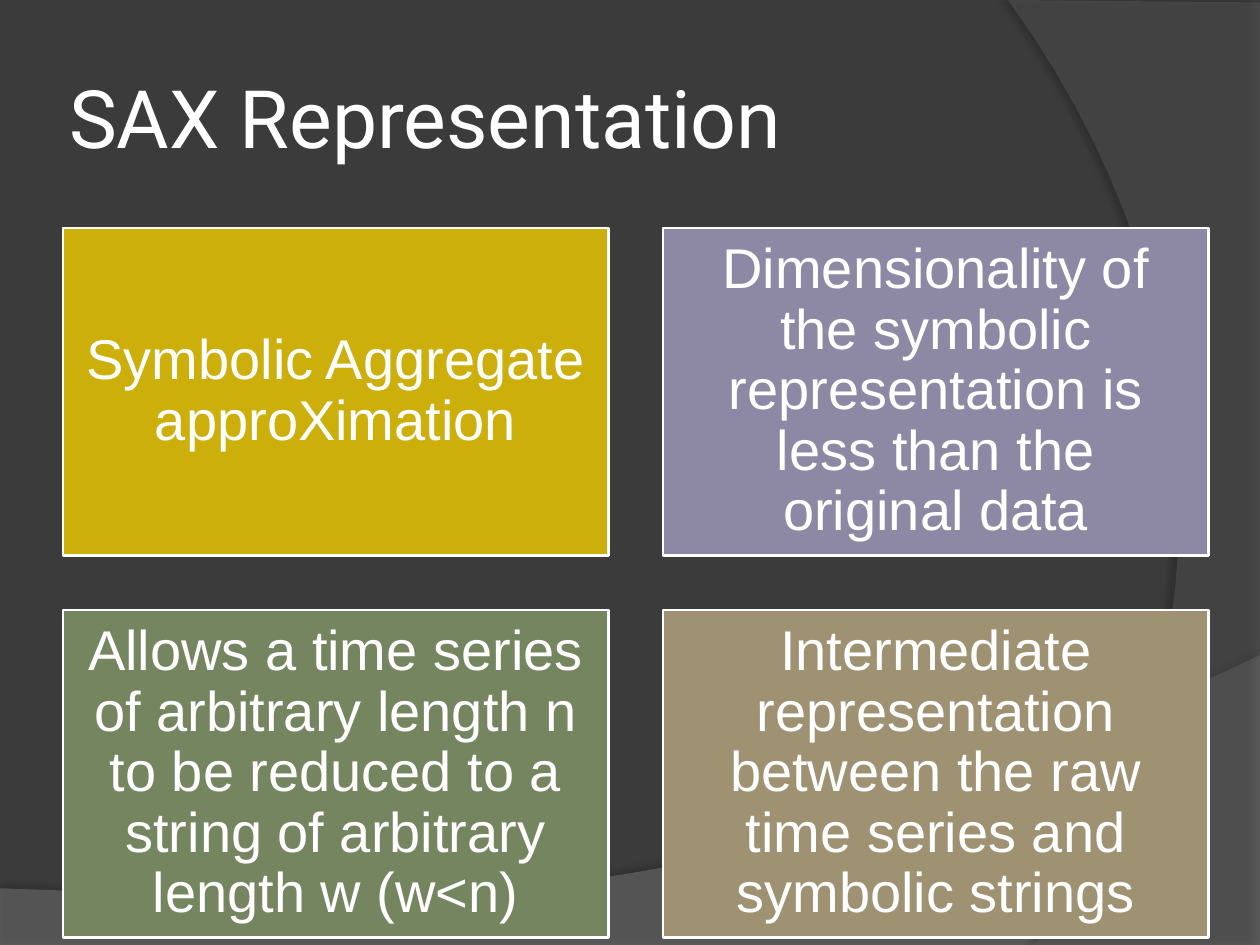
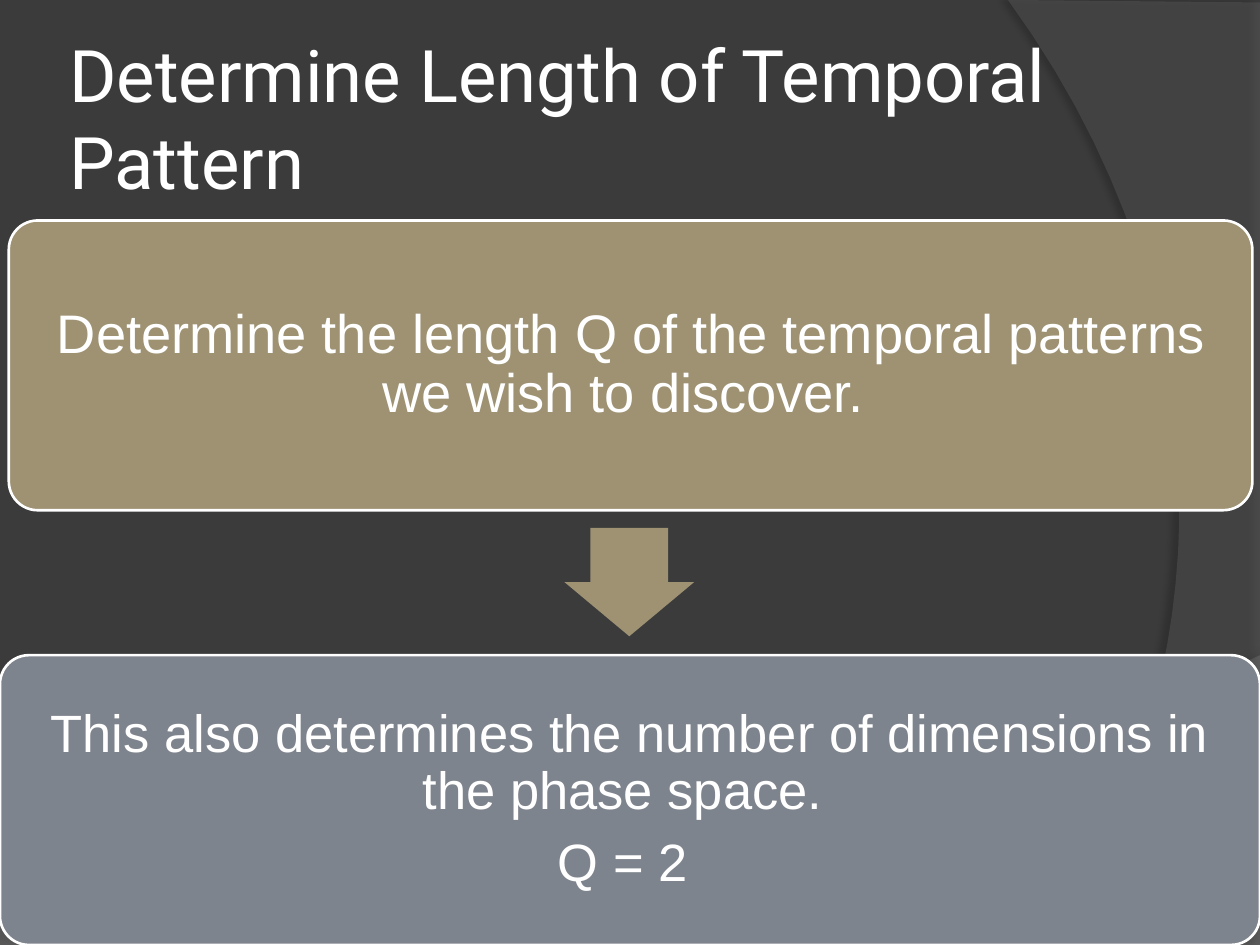
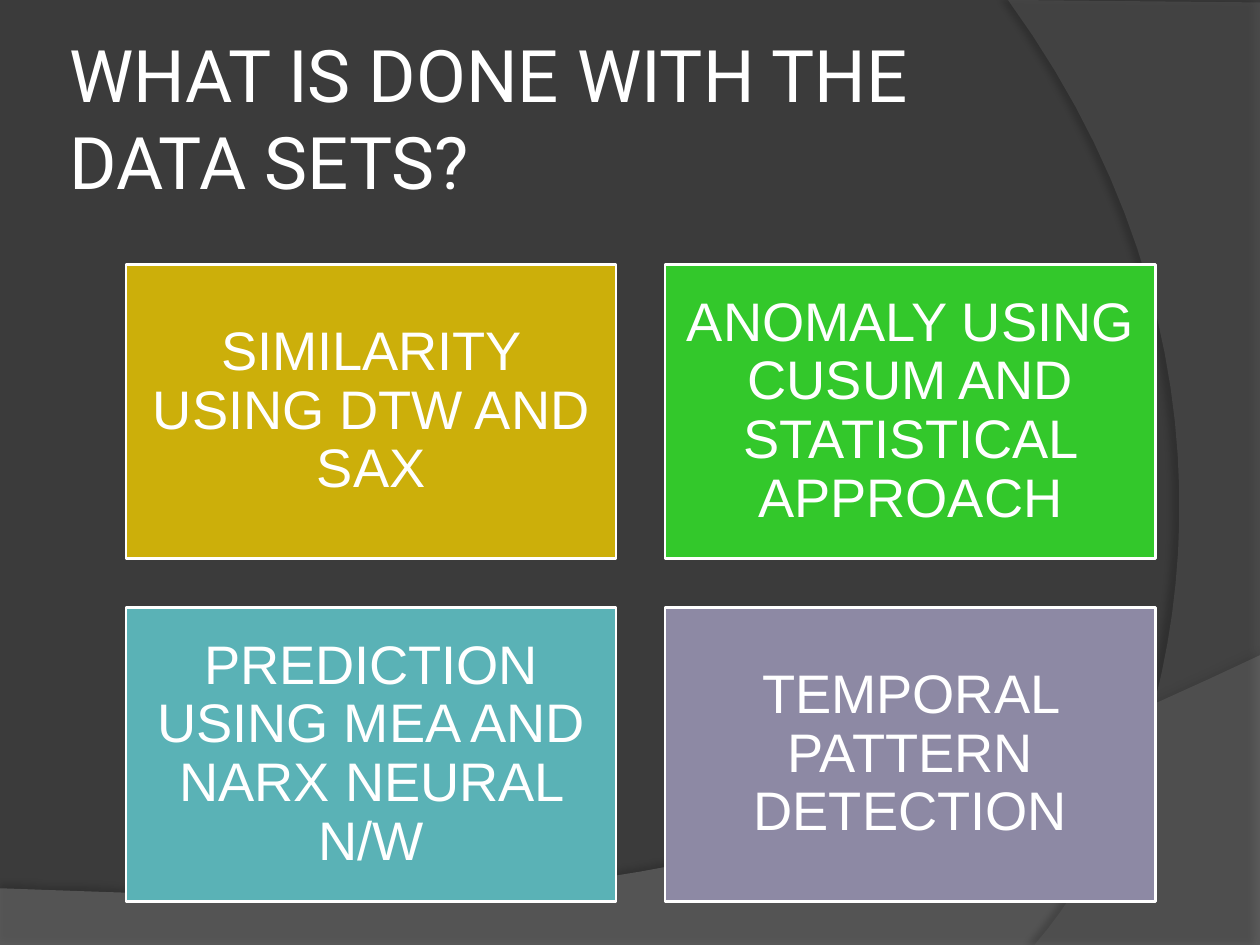
from dataclasses import dataclass

from lxml import etree
from pptx import Presentation
from pptx.dml.color import RGBColor
from pptx.enum.shapes import MSO_SHAPE as SHAPE
from pptx.enum.text import MSO_ANCHOR as ANCHOR, PP_ALIGN as ALIGN
from pptx.oxml.ns import qn
from pptx.util import Inches, Pt


@dataclass(frozen=True)
class Theme:
    background: str = "3B3B3B"
    wave: str = "7F7F7F"
    arc: str = "5E5E5E"
    white: str = "FFFFFF"
    gold: str = "CCAF0A"
    purple: str = "8D89A4"
    olive: str = "748560"
    tan: str = "9E9273"
    slate: str = "7E848D"
    green: str = "33C82B"
    teal: str = "5AB2B6"
    title_font: str = "Roboto"
    body_font: str = "Arial"
    title_size: float = 46
    long_title_size: float = 41.4
    large: float = 32
    medium: float = 31
    small: float = 30


THEME = Theme()


def rgb(code):
    return RGBColor.from_string(code)


def bezier(p0, p1, p2, p3, steps=32):
    """Points along a cubic curve, both ends included."""
    points = []
    for i in range(steps + 1):
        t = i / steps
        u = 1 - t
        points.append(tuple(
            u**3 * a + 3 * u * u * t * b + 3 * u * t * t * c + t**3 * d
            for a, b, c, d in zip(p0, p1, p2, p3)))
    return points


def add_shadow(shape, opacity, blur, distance, angle):
    effects = etree.SubElement(shape._element.spPr, qn("a:effectLst"))
    shadow = etree.SubElement(
        effects, qn("a:outerShdw"), blurRad=str(Pt(blur)), dist=str(Pt(distance)),
        dir=str(angle * 60000), algn="ctr", rotWithShape="0")
    color = etree.SubElement(shadow, qn("a:srgbClr"), val="000000")
    etree.SubElement(color, qn("a:alpha"), val=str(opacity * 1000))


class Deck:
    def __init__(self, theme):
        self.theme = theme
        self.prs = Presentation()
        self.prs.slide_width = Inches(10)
        self.prs.slide_height = Inches(7.5)
        self.s = None

    def slide(self, title, size):
        t = self.theme
        self.s = self.prs.slides.add_slide(self.prs.slide_layouts[6])
        fill = self.s.background.fill
        fill.solid()
        fill.fore_color.rgb = rgb(t.background)
        wave = [(0, 7.51), (10, 7.51)] + bezier(
            (10, 5.2), (5.59, 7.29), (3.91, 7.19), (0, 7.05))
        self.band(wave, t.wave, 45, (35, 4, 3.5, 270))
        arc = [(10, 0.02), (10, 7.5)] + bezier(
            (8.21, 7.5), (9.35, 6.19), (10.18, 3), (8, 0))
        self.band(arc, t.arc, 40, (45, 4, 4, 180))
        self.title(title, size)

    def band(self, points, color, opacity, shadow):
        """Translucent closed outline with a soft shadow."""
        (x, y), *rest = [(Inches(x), Inches(y)) for x, y in points]
        builder = self.s.shapes.build_freeform(x, y)
        builder.add_line_segments(rest, close=True)
        sp = builder.convert_to_shape()
        self.paint(sp, color)
        clr = sp._element.spPr.find(qn("a:solidFill"))[0]
        etree.SubElement(clr, qn("a:alpha"), val=str(opacity * 1000))
        add_shadow(sp, *shadow)

    def paint(self, sp, color, outlined=False):
        sp.fill.solid()
        sp.fill.fore_color.rgb = rgb(color)
        if outlined:
            sp.line.color.rgb = rgb(self.theme.white)
            sp.line.width = Pt(1.5)
        else:
            sp.line.fill.background()

    def set_text(self, tf, lines, font, size, inset):
        tf.word_wrap = True
        tf.vertical_anchor = ANCHOR.MIDDLE
        tf.margin_left = tf.margin_right = Inches(inset)
        tf.margin_top = tf.margin_bottom = Inches(inset)
        for i, line in enumerate(lines):
            p = tf.add_paragraph() if i else tf.paragraphs[0]
            p.text = line
            p.font.name = font
            p.font.size = Pt(size)
            p.font.color.rgb = rgb(self.theme.white)

    def title(self, text, size):
        box = self.s.shapes.add_textbox(
            Inches(0.5), Inches(0.3), Inches(8.17), Inches(1.25))
        self.set_text(box.text_frame, [text], self.theme.title_font, size, 0.05)

    def shape(self, kind, x, y, w, h, color, outlined=False):
        sp = self.s.shapes.add_shape(kind, Inches(x), Inches(y), Inches(w), Inches(h))
        sp.shadow.inherit = False
        self.paint(sp, color, outlined)
        return sp

    def card(self, x, y, w, h, color, lines, size, rounded=False):
        kind = SHAPE.ROUNDED_RECTANGLE if rounded else SHAPE.RECTANGLE
        sp = self.shape(kind, x, y, w, h, color, outlined=True)
        if rounded:
            sp.adjustments[0] = 0.1
        self.set_text(sp.text_frame, lines, self.theme.body_font, size, 0.13)
        for p in sp.text_frame.paragraphs:
            p.alignment = ALIGN.CENTER
            p.line_spacing = 0.9
            p.space_after = Pt(0.3 * size)

    def card_grid(self, x, y, w, cards, size):
        """Two columns of 5:3 cards, a tenth of a card apart."""
        h, gap = 0.6 * w, 0.1 * w
        for i, (color, text) in enumerate(cards):
            row, col = divmod(i, 2)
            self.card(x + col * (w + gap), y + row * (h + gap), w, h,
                      color, [text], size)

    def down_arrow(self, x, y, w, h, color):
        sp = self.shape(SHAPE.DOWN_ARROW, x, y, w, h, color)
        sp.adjustments[0] = 0.6
        sp.adjustments[1] = 0.5


def main():
    t = THEME
    deck = Deck(t)

    deck.slide("SAX Representation", t.title_size)
    deck.card_grid(0.5, 1.81, 4.33, [
        (t.gold, "Symbolic Aggregate approXimation"),
        (t.purple, "Dimensionality of the symbolic representation is less than "
                   "the original data"),
        (t.olive, "Allows a time series of arbitrary length n to be reduced to a "
                  "string of arbitrary length w (w<n)"),
        (t.tan, "Intermediate representation between the raw time series and "
                "symbolic strings"),
    ], t.large)

    deck.slide("Determine Length of Temporal Pattern", t.long_title_size)
    deck.card(0.07, 1.75, 9.87, 2.3, t.tan, [
        "Determine the length Q of the temporal patterns we wish to discover. ",
    ], t.medium, rounded=True)
    deck.down_arrow(4.48, 4.19, 1.03, 0.86, t.tan)
    deck.card(0, 5.2, 10, 2.3, t.slate, [
        "This also determines the number of dimensions in the phase space. ",
        "Q = 2 ",
    ], t.small, rounded=True)

    deck.slide("WHAT IS DONE WITH THE DATA SETS?", t.long_title_size)
    deck.card_grid(1, 2.1, 3.89, [
        (t.gold, "SIMILARITY USING DTW AND SAX"),
        (t.green, "ANOMALY USING CUSUM AND STATISTICAL APPROACH"),
        (t.teal, "PREDICTION USING MEA AND NARX NEURAL N/W"),
        (t.purple, "TEMPORAL PATTERN DETECTION"),
    ], t.medium)

    deck.prs.save("out.pptx")


if __name__ == "__main__":
    main()
